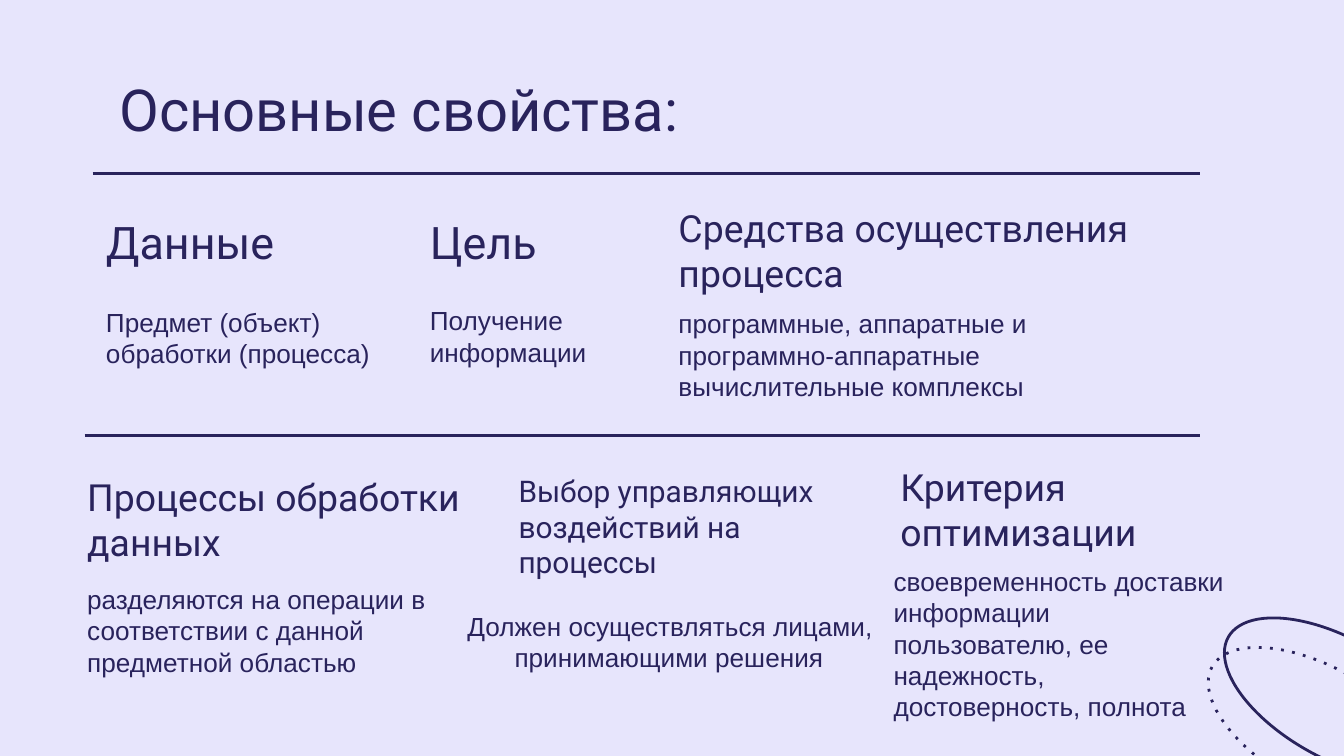
from pptx import Presentation
from pptx.dml.color import RGBColor
from pptx.enum.dml import MSO_LINE
from pptx.enum.shapes import MSO_CONNECTOR, MSO_SHAPE
from pptx.enum.text import MSO_ANCHOR
from pptx.oxml.ns import qn
from pptx.util import Inches, Pt
from lxml import etree

OVAL = MSO_SHAPE.OVAL
STRAIGHT = MSO_CONNECTOR.STRAIGHT
MIDDLE = MSO_ANCHOR.MIDDLE
ROUND_DOT = MSO_LINE.ROUND_DOT
COLORS = {"background": "E7E5FC", "ink": "29235C"}
HEADING_FONT, BODY_FONT = "Roboto", "Arial"
BODY_SIZE = 14
HANGING = (0.5, -0.35)

TITLE = ("Основные свойства:", 31, (0.79, 0.49, 8.43, 0.63))
PROPERTIES = [
    {"heading": ("Данные", 24, (0.69, 1.56, 2.32, 0.48)),
     "body": ("Предмет (объект) обработки (процесса)", (0.69, 2.27, 2.32, 0.48))},
    {"heading": ("Цель", 24, (3.1, 1.56, 2.32, 0.48)),
     "body": ("Получение информации", (3.1, 2.26, 1.82, 0.48))},
    {"heading": ("Средства осуществления процесса", 20, (4.95, 1.45, 3.86, 0.82)),
     "body": ("программные, аппаратные и программно-аппаратные вычислительные комплексы",
              (4.95, 2.4, 3.7, 0.48))},
    {"heading": ("Процессы обработки данных", 20, (0.55, 3.62, 3.02, 0.48)),
     "body": ("разделяются на операции в соответствии с данной предметной областью",
              (0.55, 4.45, 2.82, 0.48))},
    {"heading": ("Выбор управляющих воздействий на процессы", 16, (3.76, 3.49, 2.79, 0.85)),
     "body": ("Должен осуществляться лицами, принимающими решения",
              (3.23, 4.41, 3.45, 0.73)),
     "indent": HANGING},
    {"heading": ("Критерия оптимизации", 20, (6.6, 3.55, 2.79, 0.48)),
     "body": ("своевременность доставки информации пользователю, ее надежность, "
              "достоверность, полнота", (6.55, 4.55, 2.68, 0.48))},
]
RULES = [(0.69, 1.29), (0.63, 3.24)]
RULE_END = 8.93
ELLIPSES = [(9.5, 4.27, False), (9.38, 4.49, True)]
ELLIPSE_SIZE = (0.89, 1.85)
ELLIPSE_TURN = 299.4


def color(name):
    return RGBColor.from_string(COLORS[name])


def draw_outline(line):
    line.color.rgb = color("ink")
    line.width = Pt(1.5)


def add_text(page, text, size, font, place, indent=None):
    box = page.shapes.add_textbox(*map(Inches, place))
    frame = box.text_frame
    frame.word_wrap = True
    frame.vertical_anchor = MIDDLE
    frame.margin_left = frame.margin_right = Inches(0.1)
    frame.margin_top = frame.margin_bottom = Inches(0.1)
    frame.text = text
    para = frame.paragraphs[0]
    if indent:
        properties = para._p.get_or_add_pPr()
        for name, length in zip(("marL", "indent"), indent):
            properties.set(name, str(Inches(length)))
    span = para.runs[0]
    span.font.name = font
    span.font.size = Pt(size)
    span.font.color.rgb = color("ink")


def add_ellipse(page, left, top, dotted):
    ellipse = page.shapes.add_shape(OVAL, *map(Inches, (left, top, *ELLIPSE_SIZE)))
    ellipse.rotation = ELLIPSE_TURN
    ellipse.shadow.inherit = False
    ellipse.fill.background()
    draw_outline(ellipse.line)
    if dotted:
        ellipse.line.dash_style = ROUND_DOT
        dash = next(ellipse._element.spPr.iter(qn("a:prstDash")))
        dash.set("val", "dot")


def add_rule(page, left, top):
    rule = page.shapes.add_connector(STRAIGHT, *map(Inches, (left, top, RULE_END, top)))
    draw_outline(rule.line)
    etree.SubElement(rule._element.spPr, qn("a:effectLst"))


def main():
    deck = Presentation()
    deck.slide_width = Inches(10)
    deck.slide_height = deck.slide_width * 9 // 16
    page = deck.slides.add_slide(deck.slide_layouts[6])
    page.background.fill.solid()
    page.background.fill.fore_color.rgb = color("background")

    for ellipse in ELLIPSES:
        add_ellipse(page, *ellipse)
    text, size, place = TITLE
    add_text(page, text, size, HEADING_FONT, place)
    for rule in RULES:
        add_rule(page, *rule)
    for item in PROPERTIES:
        text, size, place = item["heading"]
        add_text(page, text, size, HEADING_FONT, place)
        text, place = item["body"]
        add_text(page, text, BODY_SIZE, BODY_FONT, place, item.get("indent"))
    deck.save("out.pptx")


if __name__ == "__main__":
    main()
